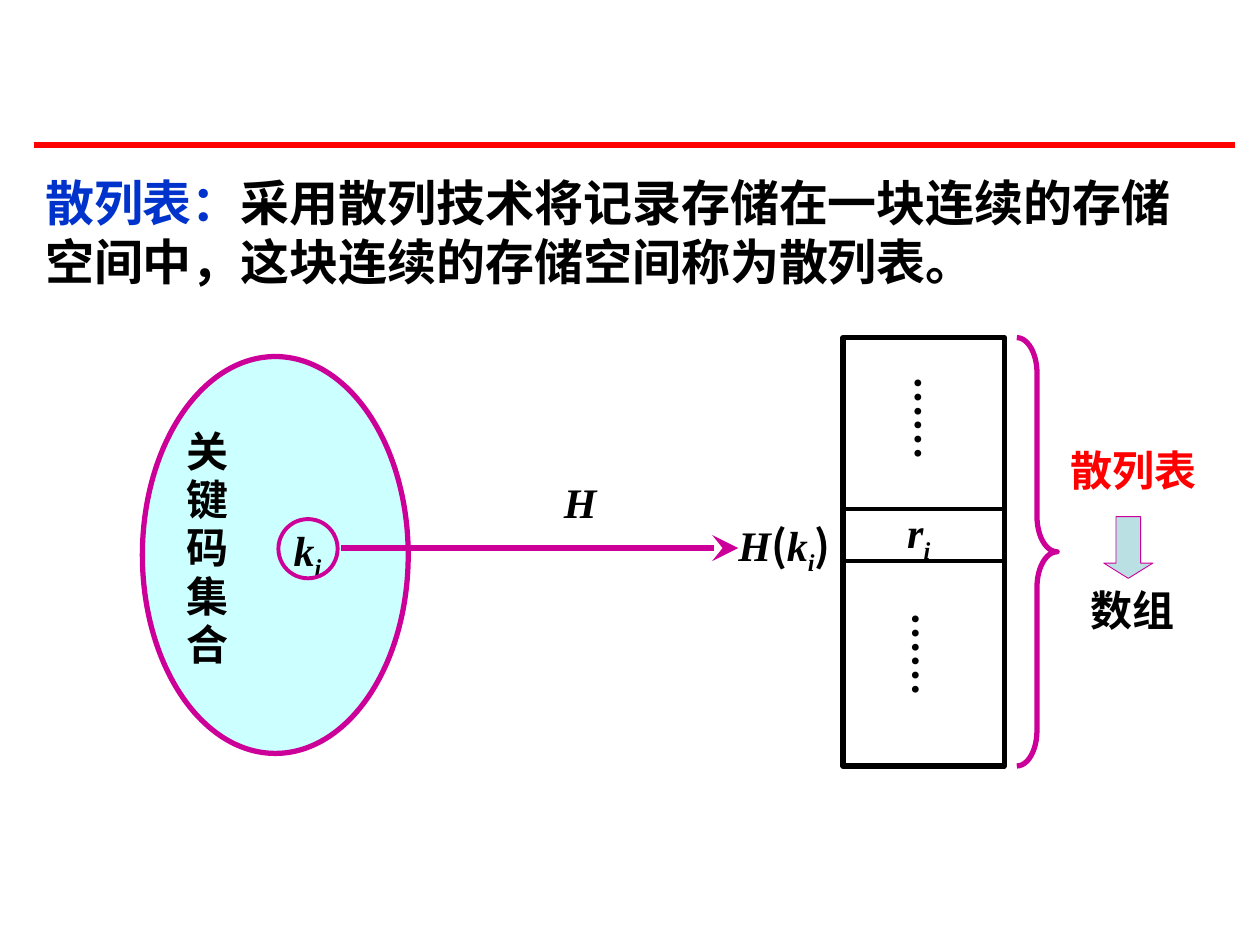
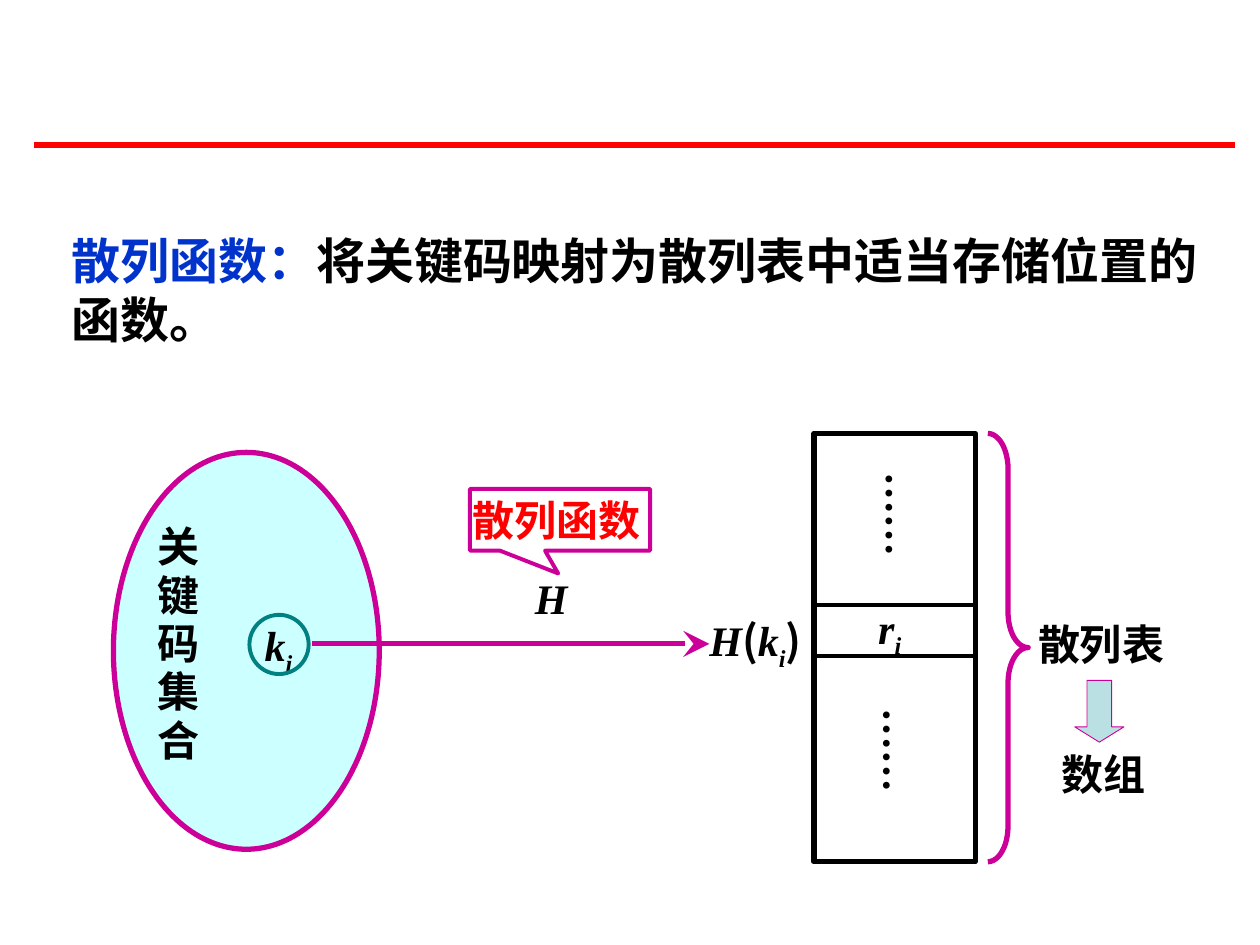
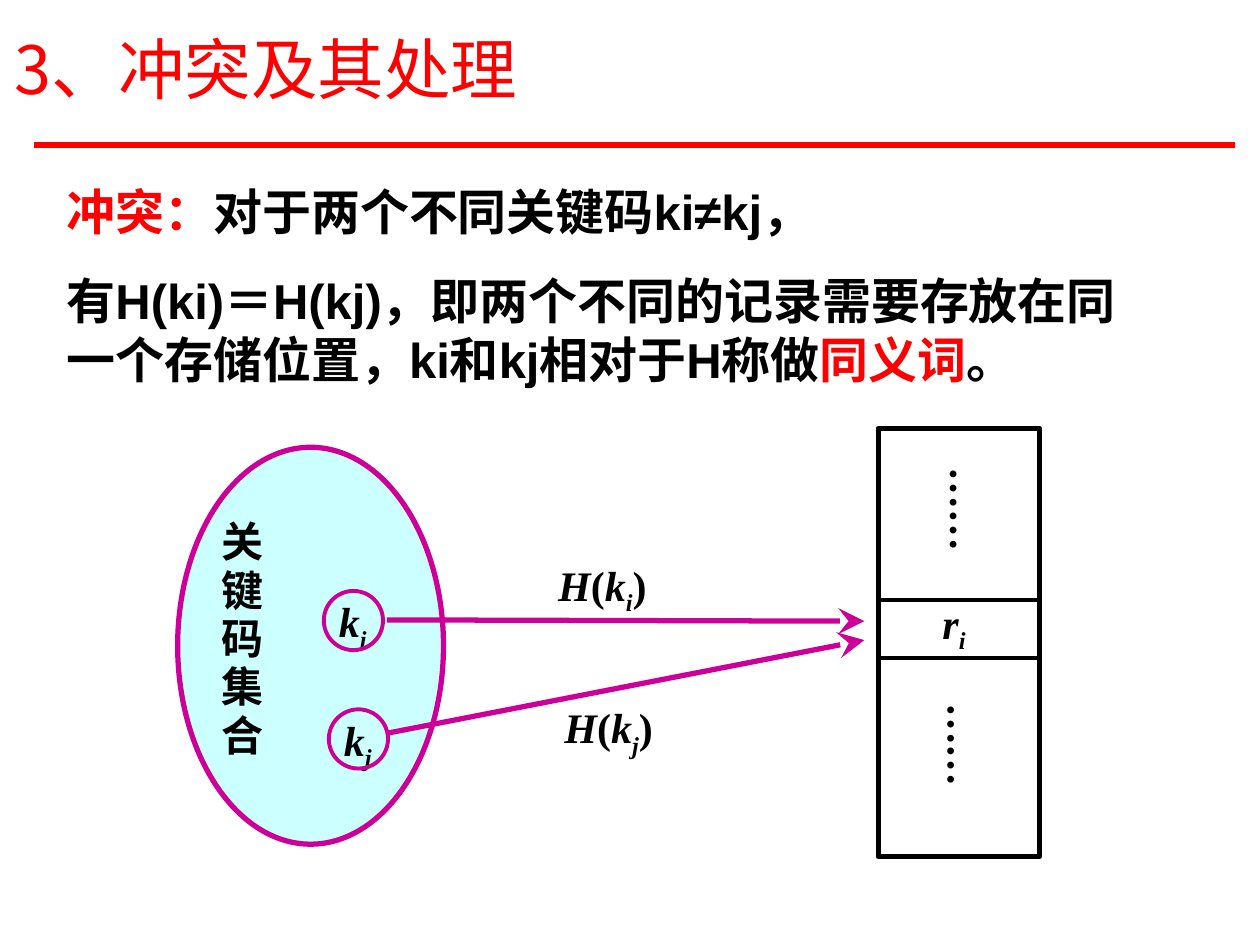
from lxml.etree import SubElement
from pptx import Presentation
from pptx.dml.color import RGBColor
from pptx.enum.shapes import MSO_CONNECTOR, MSO_SHAPE
from pptx.enum.text import MSO_ANCHOR, PP_ALIGN
from pptx.oxml.ns import qn
from pptx.util import Inches, Pt

# Shared style
RED, BLUE, BLACK = "FF0000", "0033CC", "000000"
MAGENTA, TEAL, CYAN, PALE_BLUE = "CC0099", "008080", "CCFFFF", "BBE0E3"
SERIF, SANS, CHINESE = "Times New Roman", "Arial", "Noto Sans CJK SC"
WIDE_INSETS = (0.1, 0.05, 0.1, 0.05)
TIGHT_INSETS = (0.02, 0, 0.02, 0)
VERTICAL_INSETS = (0, 0.02, 0.04, 0.02)
BASE_FORMAT = {"size": 24, "name": SERIF, "bold": True, "italic": False,
               "color": BLACK}


def color(hex_string):
    return RGBColor.from_string(hex_string)


def symbol(letter, index):
    """Runs for an italic letter with a subscript index."""
    return [(letter, {"italic": True}),
            (index, {"italic": True, "baseline": -25})]


def hash_of(index, bracket_font=SERIF):
    bracket = {"name": bracket_font}
    return [("H", {"italic": True}), ("(", bracket), *symbol("k", index),
            (")", bracket)]


class Deck:
    def __init__(self):
        self.presentation = Presentation()
        self.presentation.slide_width = Inches(10)
        self.presentation.slide_height = Inches(7.5)
        self.slide = None

    def new_slide(self):
        layout = self.presentation.slide_layouts[6]
        self.slide = self.presentation.slides.add_slide(layout)
        self.line((0.27, 1.15), (9.8, 1.15), RED, 3)

    def line(self, start, end, line_color, width, arrow=False):
        points = [Inches(value) for value in (*start, *end)]
        connector = self.slide.shapes.add_connector(
            MSO_CONNECTOR.STRAIGHT, *points)
        connector.line.color.rgb = color(line_color)
        connector.line.width = Pt(width)
        properties = connector._element.spPr
        if arrow:
            SubElement(properties.find(qn("a:ln")), qn("a:tailEnd"),
                       type="stealth", w="lg", len="lg")
        SubElement(properties, qn("a:effectLst"))

    def shape(self, kind, box, line_color, width, fill=None, adjustments=()):
        shape = self.slide.shapes.add_shape(
            kind, *[Inches(value) for value in box])
        shape.shadow.inherit = False
        shape.line.color.rgb = color(line_color)
        shape.line.width = Pt(width)
        if fill:
            shape.fill.solid()
            shape.fill.fore_color.rgb = color(fill)
        else:
            shape.fill.background()
        for index, value in enumerate(adjustments):
            shape.adjustments[index] = value
        return shape

    def text(self, box, paragraphs, **options):
        shape = self.slide.shapes.add_textbox(
            *[Inches(value) for value in box])
        self.fill_text(shape, paragraphs, **options)

    def fill_text(self, shape, paragraphs, insets=TIGHT_INSETS,
                  anchor=MSO_ANCHOR.TOP, align=PP_ALIGN.LEFT, spacing=None,
                  space_before=0, vertical=False, **base):
        frame = shape.text_frame
        frame.word_wrap = True
        frame.vertical_anchor = anchor
        for side, inset in zip(("left", "top", "right", "bottom"), insets):
            setattr(frame, f"margin_{side}", Inches(inset))
        if vertical:
            frame._txBody.bodyPr.set("vert", "eaVert")
        for number, runs in enumerate(paragraphs):
            paragraph = frame.add_paragraph() if number else frame.paragraphs[0]
            paragraph.alignment = align
            if spacing:
                paragraph.line_spacing = spacing
            if number:
                paragraph.space_before = Pt(space_before)
            for content, changes in runs:
                self.add_text_run(paragraph, content,
                                  {**BASE_FORMAT, **base, **changes})

    def add_text_run(self, paragraph, content, values):
        text_run = paragraph.add_run()
        text_run.text = content
        values = dict(values, size=Pt(values["size"]))
        text_run.font.color.rgb = color(values.pop("color"))
        baseline = values.pop("baseline", 0)
        for attribute, value in values.items():
            setattr(text_run.font, attribute, value)
        properties = text_run._r.get_or_add_rPr()
        SubElement(properties, qn("a:ea"), typeface=CHINESE)
        if baseline:
            properties.set("baseline", str(baseline * 1000))

    # Parts of the hashing diagram, placed from the key set's corner
    def key_set_and_table(self, x, y, row_bottom=1.62):
        self.shape(MSO_SHAPE.OVAL, (x, y, 2.11, 3.15), MAGENTA, 3, CYAN)
        self.text((x + 0.33, y + 0.57, 0.34, 1.92), [[("关键码集合", {})]],
                  spacing=0.96)
        left, right = x + 5.56, x + 6.84
        table = self.shape(MSO_SHAPE.RECTANGLE, (left, y - 0.15, 1.28, 3.4),
                           BLACK, 3)
        self.fill_text(table, [symbol("r", "i")], insets=(0.51, 1.34, 0.1, 0.05))
        for row_edge in (1.21, row_bottom):
            self.line((left, y + row_edge), (right, y + row_edge), BLACK, 2.25)
        for dots_x, dots_y in ((6.11, 0.14), (6.09, 2.01)):
            self.text((x + dots_x, y + dots_y, 0.37, 0.9), [[("……", {})]],
                      insets=VERTICAL_INSETS, spacing=0.96, vertical=True)

    def key(self, x, y, index, outline=MAGENTA):
        self.text((x + 0.1, y + 0.04, 0.4, 0.36), [symbol("k", index)],
                  spacing=0.96)
        self.shape(MSO_SHAPE.OVAL, (x, y, 0.47, 0.47), outline, 2.25)

    def hash_mapping(self, x, y, key_outline=MAGENTA):
        self.key_set_and_table(x, y)
        self.key(x + 1.08, y + 1.29, "i", key_outline)
        self.line((x + 1.58, y + 1.52), (x + 4.73, y + 1.52), MAGENTA, 3, True)
        self.text((x + 2.41, y + 0.98, 2.13, 0.37), [[("H", {"italic": True})]],
                  align=PP_ALIGN.CENTER, spacing=0.96)
        self.text((x + 4.71, y + 1.29, 0.81, 0.29), [hash_of("i", CHINESE)],
                  spacing=0.96)
        self.shape(MSO_SHAPE.RIGHT_BRACE, (x + 6.94, y - 0.15, 0.32, 3.4),
                   MAGENTA, 3, adjustments=(0.88, 0.5))

    def table_to_array(self, label_x, label_y, arrow_x, arrow_y, label_color):
        label = {"insets": WIDE_INSETS, "name": SANS}
        self.text((label_x, label_y, 1.33, 0.5), [[("散列表", {})]],
                  color=label_color, **label)
        self.shape(MSO_SHAPE.DOWN_ARROW, (arrow_x, arrow_y, 0.39, 0.49),
                   MAGENTA, 0.5, PALE_BLUE, (0.5, 0.31))
        self.text((arrow_x - 0.2, arrow_y + 0.49, 0.89, 0.5),
                  [[("数组", {})]], **label)

    def definition(self, box, paragraphs, font=SERIF):
        self.text(box, paragraphs, insets=WIDE_INSETS, size=28, name=font,
                  space_before=17.5)


def main():
    deck = Deck()

    # Hash table
    deck.new_slide()
    deck.definition((0.26, 1.32, 9.47, 1.04), [[
        ("散列表：", {"color": BLUE}),
        ("采用散列技术将记录存储在一块连续的存储空间中，"
         "这块连续的存储空间称为散列表。", {})]])
    deck.hash_mapping(1.13, 2.83)
    deck.table_to_array(8.4, 3.48, 8.76, 4.1, RED)

    # Hash function
    deck.new_slide()
    deck.definition((0.47, 1.78, 9.17, 1.04), [[
        ("散列函数：", {"color": BLUE}),
        ("将关键码映射为散列表中适当存储位置的函数。", {})]])
    deck.hash_mapping(0.9, 3.59, TEAL)
    callout = deck.shape(MSO_SHAPE.RECTANGULAR_CALLOUT, (3.73, 3.88, 1.43, 0.49),
                         MAGENTA, 2.25, adjustments=(-0.01, 0.87))
    deck.fill_text(callout, [[("散列函数", {})]],
                   insets=(0.02, 0.01, 0.02, 0.01),
                   anchor=MSO_ANCHOR.MIDDLE, name=SANS, color=RED)
    deck.table_to_array(8.14, 4.86, 8.53, 5.4, BLACK)

    # Collision
    deck.new_slide()
    deck.text((0.02, 0, 9, 1.07), [[("3、冲突及其处理", {})]],
              insets=WIDE_INSETS, anchor=MSO_ANCHOR.MIDDLE, size=38,
              name=CHINESE, bold=False, color=RED)
    deck.definition((0.43, 1.39, 8.67, 2.21), [
        [("冲突：", {"color": RED}), ("对于两个不同关键码ki≠kj，", {})],
        [("有H(ki)＝H(kj)，即两个不同的记录需要存放在同一个存储位置，"
          "ki和kj相对于H称做", {}),
         ("同义词", {"color": RED}), ("。", {})]], SANS)
    deck.key_set_and_table(1.41, 3.55, row_bottom=1.67)
    collisions = (
        ("i", (2.57, 4.69), (3.07, 4.92), (6.86, 4.93), (4.41, 4.44)),
        ("j", (2.61, 5.63), (3.07, 5.82), (6.86, 5.08), (4.46, 5.57)))
    for index, key_corner, start, end, label_corner in collisions:
        deck.key(*key_corner, index)
        deck.line(start, end, MAGENTA, 3, True)
        deck.text((*label_corner, 0.89, 0.37), [hash_of(index)], spacing=0.96)

    deck.presentation.save("out.pptx")


if __name__ == "__main__":
    main()
